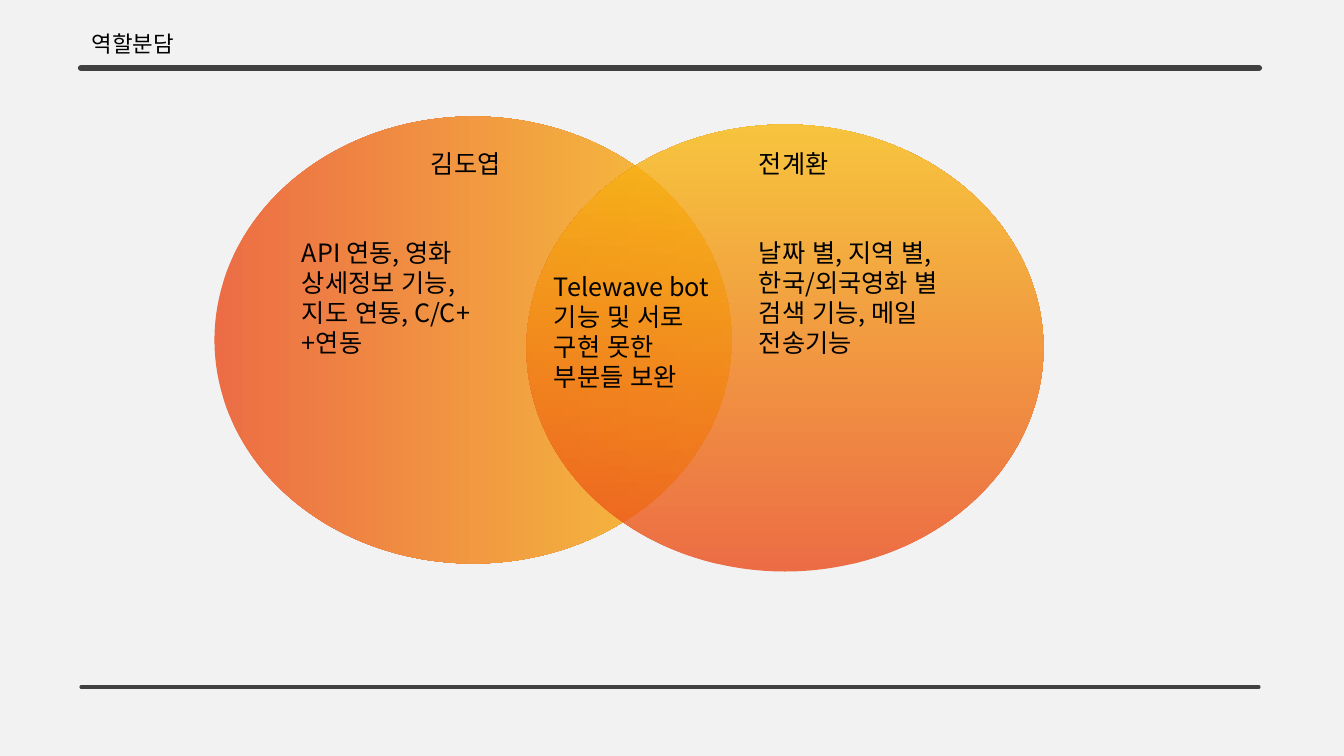
from lxml import etree
from pptx import Presentation
from pptx.dml.color import RGBColor
from pptx.enum.lang import MSO_LANGUAGE_ID
from pptx.enum.shapes import MSO_CONNECTOR, MSO_SHAPE
from pptx.enum.text import MSO_AUTO_SIZE
from pptx.oxml.ns import qn
from pptx.util import Pt

STRAIGHT = MSO_CONNECTOR.STRAIGHT
OVAL = MSO_SHAPE.OVAL
GROW = MSO_AUTO_SIZE.SHAPE_TO_FIT_TEXT
KOREAN = MSO_LANGUAGE_ID.KOREAN

FONT = "Noto Sans CJK KR"
BACKGROUND = RGBColor(0xF2, 0xF2, 0xF2)
RULE_COLOR = RGBColor(0x40, 0x40, 0x40)
TEXT_COLOR = RGBColor(0, 0, 0)
GRADIENT = [RGBColor(0xEB, 0x4C, 0x1A), RGBColor(0xF8, 0xB9, 0x10)]
OPACITY = 80

RULE_LEFT, RULE_RIGHT = 81, 1259
FOOTER_RULE = (687, 2.25)
HEADER_RULE = (68, 4.5)
CIRCLE_SIZE = (517, 447)
CIRCLES = [((473, 340), 0), ((785, 348), 270)]

TITLE = ("역할분담", (82, 25, 111, 37))
LABELS = [
    ("김도엽", (421, 143, 107, 40)),
    ("전계환", (749, 143, 109, 40)),
    ("API 연동, 영화 상세정보 기능, 지도 연동, C/C++연동", (292, 232, 215, 132)),
    ("날짜 별, 지역 별, 한국/외국영화 별 검색 기능, 메일 전송기능", (749, 232, 248, 132)),
    ("Telewave bot 기능 및 서로 구현 못한 \n부분들 보완", (544, 266, 188, 132)),
]


def px(value):
    return round(value * 914400 / 100.8)


def add_rule(slide, y, weight):
    rule = slide.shapes.add_connector(
        STRAIGHT, px(RULE_LEFT), px(y), px(RULE_RIGHT), px(y))
    rule.line.color.rgb = RULE_COLOR
    rule.line.width = Pt(weight)
    properties = rule._element.spPr
    properties.find(qn("a:ln")).set("cap", "rnd")
    etree.SubElement(properties, qn("a:effectLst"))


def add_circle(slide, center, rotation):
    width, height = CIRCLE_SIZE
    circle = slide.shapes.add_shape(
        OVAL, px(center[0] - width / 2), px(center[1] - height / 2),
        px(width), px(height))
    circle.rotation = rotation
    if rotation:
        circle.width, circle.height = px(height), px(width)
        circle.left = px(center[0] - height / 2)
        circle.top = px(center[1] - width / 2)
    circle.shadow.inherit = False
    circle.line.fill.background()
    circle.fill.gradient()
    circle.fill.gradient_angle = 0
    for stop, color in zip(circle.fill.gradient_stops, GRADIENT):
        stop.color.rgb = color
    for color in circle._element.spPr.iter(qn("a:srgbClr")):
        etree.SubElement(color, qn("a:alpha"), val=str(OPACITY * 1000))


def add_label(slide, text, box, size=18, wrap=True):
    frame = slide.shapes.add_textbox(*map(px, box)).text_frame
    frame.word_wrap = wrap
    frame.auto_size = GROW
    frame.text = text
    for paragraph in frame.paragraphs:
        font = paragraph.font
        font.name = FONT
        font.size = Pt(size)
        font.color.rgb = TEXT_COLOR
        font.language_id = KOREAN
        defaults = paragraph._p.pPr.find(qn("a:defRPr"))
        etree.SubElement(defaults, qn("a:ea"), typeface=FONT)


presentation = Presentation()
presentation.slide_width = px(1344)
presentation.slide_height = px(756)
slide = presentation.slides.add_slide(presentation.slide_layouts[6])
slide.background.fill.solid()
slide.background.fill.fore_color.rgb = BACKGROUND

add_rule(slide, *FOOTER_RULE)
for center, rotation in CIRCLES:
    add_circle(slide, center, rotation)
add_rule(slide, *HEADER_RULE)
add_label(slide, *TITLE, size=16, wrap=False)
for text, box in LABELS:
    add_label(slide, text, box)

presentation.save("out.pptx")
